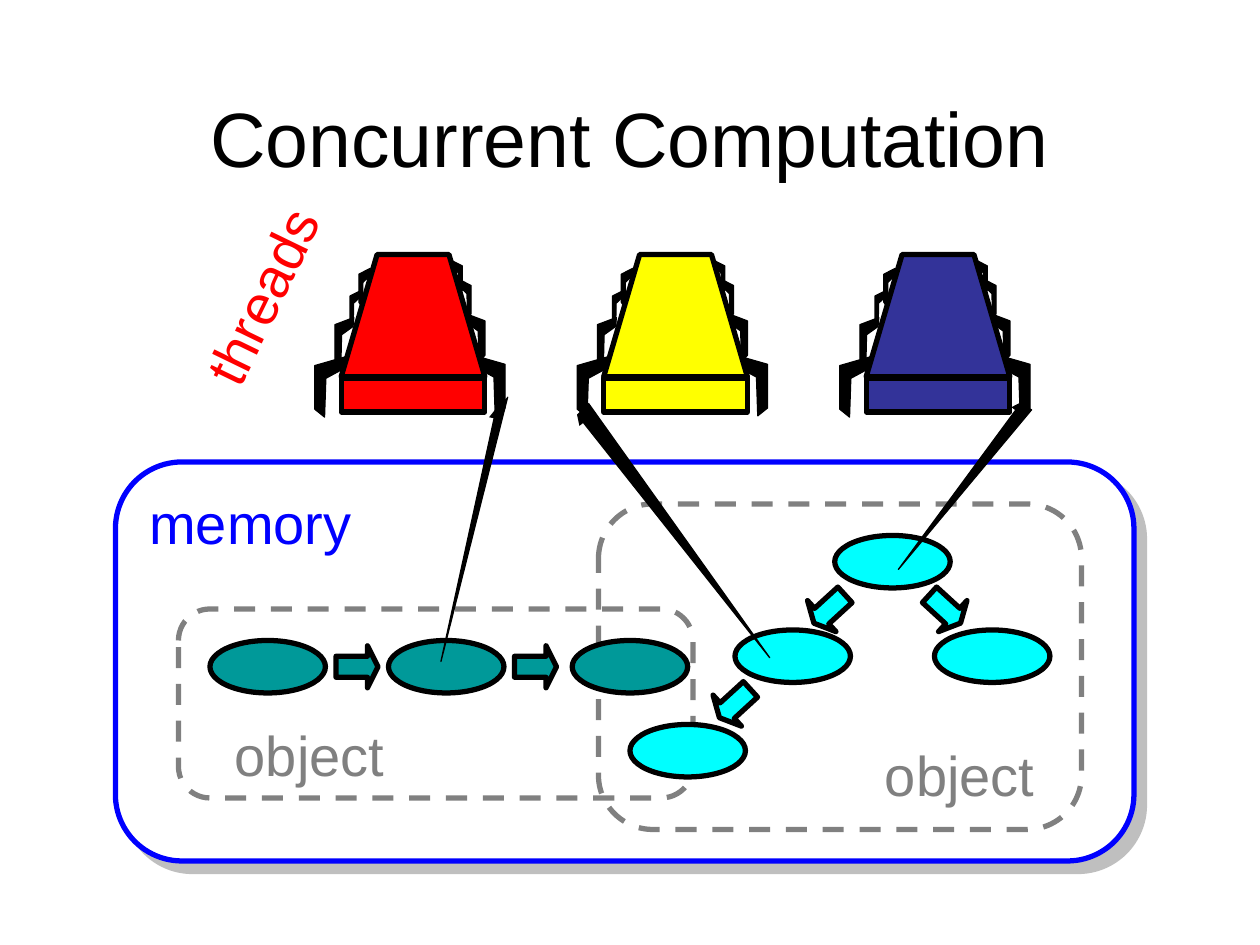
from lxml import etree
from pptx import Presentation
from pptx import util as u
from pptx.dml.color import RGBColor
from pptx.enum import dml, shapes, text
from pptx.oxml.ns import qn

BLACK, WHITE = RGBColor(0, 0, 0), RGBColor(255, 255, 255)
RED, YELLOW = RGBColor(255, 0, 0), RGBColor(255, 255, 0)
NAVY, BLUE = RGBColor(0x33, 0x33, 0x99), RGBColor(0, 0, 255)
TEAL, CYAN = RGBColor(0, 0x99, 0x99), RGBColor(0, 255, 255)
GRAY = RGBColor(0x80, 0x80, 0x80)
S = shapes.MSO_SHAPE
CELL = 1 / 12  # grid cell in inches

# Content: positions in grid cells
TITLE = "Concurrent Computation"
MEMORY = (11, 44, 97, 38)
OBJECTS = [(17, 58, 49, 18), (57, 48, 46, 31)]
NODE_SIZE, ARROW_SIZE = (11, 5), (4, 4)
LIST_NODES = [(20, 61), (37, 61), (54.5, 61)]
TREE_NODES = [(79.5, 51), (70, 60), (89, 60), (60, 69)]
ARROWS = [  # column, row, rotation, flipped, colour
    (32, 61.5, 0, False, TEAL), (49, 61.5, 0, False, TEAL),
    (88, 56, 42.5, False, CYAN), (77, 56, 317.5, True, CYAN),
    (68, 65, 317.5, True, CYAN),
]

# Content: positions in inches
THREADS = [RED, YELLOW, NAVY]
THREAD_LEFT, THREAD_PITCH = 32.5 * CELL, 25 * CELL
BODY_TOP, BODY_W, BODY_H = 2.02, 1.14, 0.97
FRONT_TOP, FRONT_H = 3, 0.27
LEG = [(0, 0), (1, 0.15), (1, 0.87), (0.69, 1), (0.65, 0.36), (0.05, 0.19)]
LEGS = [  # offset from body, top, width, height, mirrored
    (1.05, 2.82, 0.25, 0.48, False), (0.99, 2.49, 0.15, 0.38, False),
    (0.94, 2.22, 0.09, 0.31, False), (0.88, 2.07, 0.08, 0.27, False),
    (-0.21, 2.83, 0.25, 0.48, True), (-0.05, 2.52, 0.15, 0.38, True),
    (0.14, 2.13, 0.09, 0.31, True), (0.07, 2.31, 0.08, 0.27, True),
]
POINTERS = [
    [(4.03, 3.15), (3.5, 5.25), (3.94, 3.24)],
    [(4.67, 3.2), (6.11, 5.22), (4.58, 3.29)],
    [(8.19, 3.25), (7.13, 4.52), (8.11, 3.19)],
]
LABELS = [  # text, left, top, width, height, rotation, colour
    ("memory", 1.08, 3.83, 1.81, 0.64, 0, BLUE),
    ("object", 1.75, 5.67, 1.4, 0.64, 0, GRAY),
    ("object", 6.91, 5.83, 1.4, 0.64, 0, GRAY),
    ("threads", 1.23, 2.03, 1.69, 0.64, 295.9, RED),
]

prs = Presentation()
prs.slide_width, prs.slide_height = u.Inches(10), u.Inches(7.5)
s = prs.slides.add_slide(prs.slide_layouts[5])


def style(sp, fill, line=BLACK, width=3):
    sp.shadow.inherit = False
    if fill is None:
        sp.fill.background()
    else:
        sp.fill.solid()
        sp.fill.fore_color.rgb = fill
    sp.line.color.rgb, sp.line.width = line, u.Pt(width)
    return sp


def preset(kind, box, fill, line=BLACK):
    sp = s.shapes.add_shape(kind, *(u.Inches(v) for v in box))
    return style(sp, fill, line)


def on_grid(*cells):
    return [v * CELL for v in cells]


def outline(points, fill, width=0.75, close=True):
    pts = [(u.Inches(x), u.Inches(y)) for x, y in points]
    fb = s.shapes.build_freeform(*pts[0])
    fb.add_line_segments(pts[1:], close=close)
    return style(fb.convert_to_shape(), fill, width=width)


def write(tf, words, size, color, align):
    p = tf.paragraphs[0]
    p.alignment = align
    r = p.add_run()
    r.text = words
    r.font.color.rgb = color
    for key, value in {"name": "Arial", "size": u.Pt(size)}.items():
        setattr(r.font, key, value)


# Memory with its cast shadow
memory = preset(S.ROUNDED_RECTANGLE, on_grid(*MEMORY), WHITE, BLUE)
effects = memory._element.spPr.find(qn("a:effectLst"))
cast = etree.SubElement(effects, qn("a:outerShdw"), dist=str(u.Pt(8.5)),
                        dir="2700000", algn="ctr", rotWithShape="0")
tint = etree.SubElement(cast, qn("a:srgbClr"), val=str(GRAY))
etree.SubElement(tint, qn("a:alpha"), val="50000")

# Title
title = s.shapes.title
title.left, title.top, title.width, title.height = (
    u.Inches(v) for v in (0.75, 0.46, 8.5, 1.25))
title.text_frame.vertical_anchor = text.MSO_ANCHOR.MIDDLE
write(title.text_frame, TITLE, 44, BLACK, text.PP_ALIGN.CENTER)

# Objects, their nodes and links
for box in OBJECTS:
    sp = preset(S.ROUNDED_RECTANGLE, on_grid(*box), None, GRAY)
    sp.line.dash_style = dml.MSO_LINE.DASH
for nodes, color in ((LIST_NODES, TEAL), (TREE_NODES, CYAN)):
    for node in nodes:
        preset(S.OVAL, on_grid(*node, *NODE_SIZE), color)
for col, row, turn, flipped, color in ARROWS:
    sp = preset(S.RIGHT_ARROW, on_grid(col, row, *ARROW_SIZE), color)
    sp.adjustments[0], sp.adjustments[1] = 0.5, 0.25
    sp.rotation = turn
    if flipped:
        sp._element.spPr.xfrm.set("flipH", "1")

# Threads: legs, sloping body, front
for i, color in enumerate(THREADS):
    left = THREAD_LEFT + i * THREAD_PITCH
    for dx, top, w, h, mirrored in LEGS:
        outline([(left + dx + w * (1 - x if mirrored else x), top + h * y)
                 for x, y in LEG], BLACK)
    outline([(left + BODY_W * x, BODY_TOP + BODY_H * y)
             for x, y in ((0, 1), (0.25, 0), (0.75, 0), (1, 1))], color, 3)
    preset(S.RECTANGLE, (left, FRONT_TOP, BODY_W, FRONT_H), color)

# Pointers from threads into memory
for points in POINTERS:
    sp = outline(points, BLACK, close=False)
    etree.SubElement(sp.line._get_or_add_ln(), qn("a:tailEnd"), type="triangle")

# Labels
for words, x, y, w, h, turn, color in LABELS:
    sp = s.shapes.add_textbox(*(u.Inches(v) for v in (x, y, w, h)))
    sp.rotation = turn
    tf = sp.text_frame
    tf.word_wrap, tf.auto_size = False, text.MSO_AUTO_SIZE.SHAPE_TO_FIT_TEXT
    write(tf, words, 32, color, text.PP_ALIGN.RIGHT)

prs.save("out.pptx")
